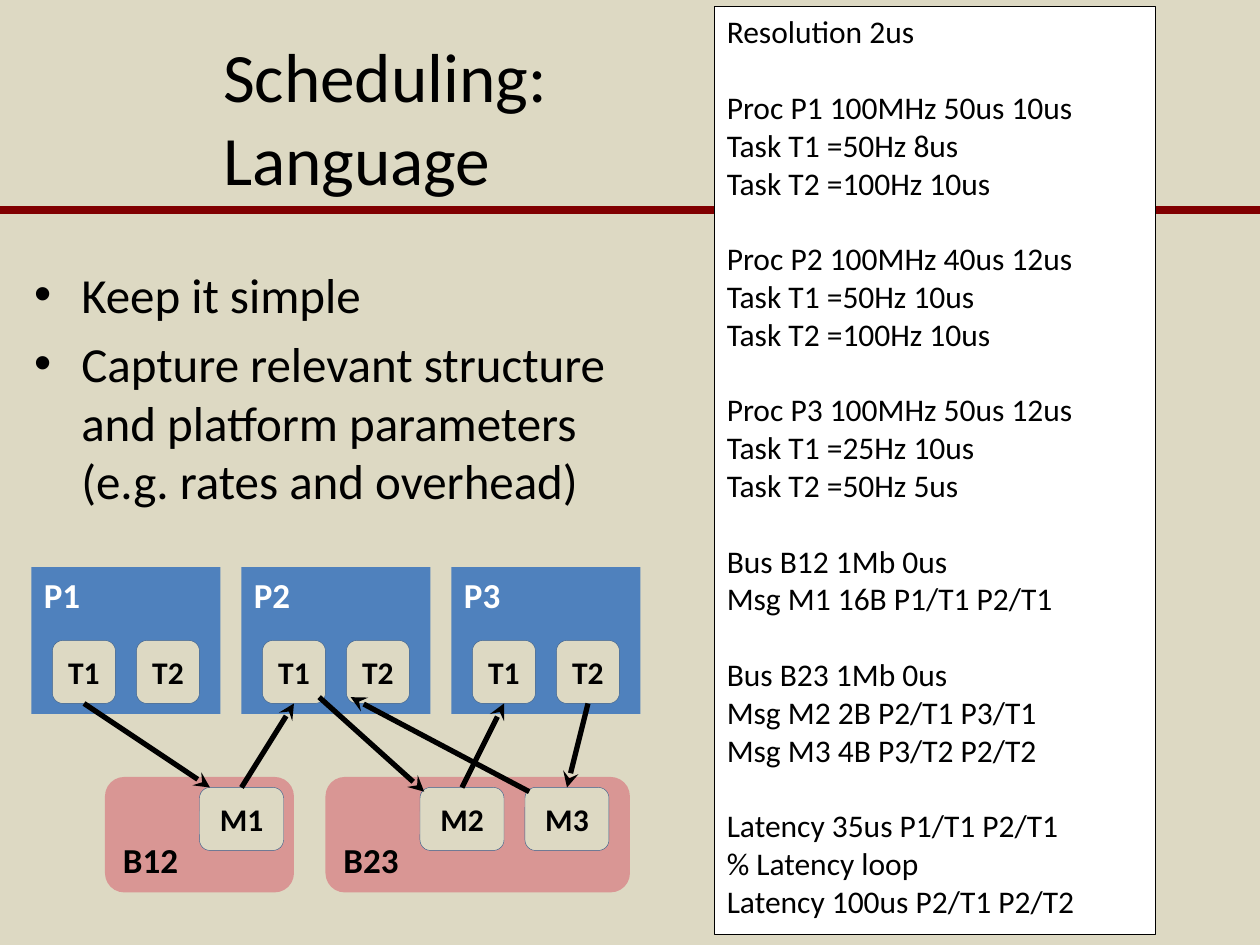
from lxml import etree
from pptx import Presentation
from pptx.dml.color import RGBColor
from pptx.enum.shapes import MSO_CONNECTOR, MSO_SHAPE
from pptx.enum.text import MSO_ANCHOR, MSO_AUTO_SIZE, PP_ALIGN
from pptx.oxml.ns import qn
from pptx.util import Inches, Pt

RECT, ROUNDED = MSO_SHAPE.RECTANGLE, MSO_SHAPE.ROUNDED_RECTANGLE
TOP, MIDDLE, BOTTOM = MSO_ANCHOR.TOP, MSO_ANCHOR.MIDDLE, MSO_ANCHOR.BOTTOM
LEFT, CENTER = PP_ALIGN.LEFT, PP_ALIGN.CENTER
STRAIGHT, NO_FIT = MSO_CONNECTOR.STRAIGHT, MSO_AUTO_SIZE.NONE

BLACK = RGBColor(0x00, 0x00, 0x00)
WHITE = RGBColor(0xFF, 0xFF, 0xFF)
SAND = RGBColor(0xDD, 0xD9, 0xC3)
MAROON = RGBColor(0x80, 0x00, 0x00)
BLUE = RGBColor(0x4F, 0x81, 0xBD)
BLUE_EDGE = RGBColor(0x3A, 0x5F, 0x8C)
PINK = RGBColor(0xD9, 0x96, 0x94)
FONT = "Calibri"

# Content
TITLE = "Scheduling: \vLanguage"
BULLETS = [
    "Keep it simple",
    "Capture relevant structure and platform parameters (e.g. rates and overhead)",
]
LISTING = [
    ["Resolution 2us"],
    ["Proc P1 100MHz 50us 10us", "Task T1 =50Hz 8us", "Task T2 =100Hz 10us"],
    ["Proc P2 100MHz 40us 12us", "Task T1 =50Hz 10us", "Task T2 =100Hz 10us"],
    ["Proc P3 100MHz 50us 12us", "Task T1 =25Hz 10us", "Task T2 =50Hz 5us"],
    ["Bus B12 1Mb 0us", "Msg M1 16B P1/T1 P2/T1"],
    ["Bus B23 1Mb 0us", "Msg M2 2B P2/T1 P3/T1", "Msg M3 4B P3/T2 P2/T2"],
    ["Latency 35us P1/T1 P2/T1", "% Latency loop", "Latency 100us P2/T1 P2/T2"],
]
PROCESSORS = ["P1", "P2", "P3"]
TASKS = ["T1", "T2"]
# Bus: name, left, width, messages (diagram units)
BUSES = [("B12", 10, 18, ["M1"]), ("B23", 31, 29, ["M2", "M3"])]
# Arrow: box and offset within it, for each end (diagram units)
TASK_BOTTOM, MESSAGE_TOP, CORNER = (3, 6), (4, 0), (0.4, 0.4)
ARROWS = [
    ("P1/T1", TASK_BOTTOM, "M1", (1, 0)),
    ("M1", MESSAGE_TOP, "P2/T1", TASK_BOTTOM),
    ("P2/T1", (5.4, 5.4), "M2", CORNER),
    ("M2", MESSAGE_TOP, "P3/T1", TASK_BOTTOM),
    ("P3/T2", TASK_BOTTOM, "M3", MESSAGE_TOP),
    ("M3", CORNER, "P2/T2", (0.4, 5.4)),
]


def unit(n):
    """The diagram grid has 12 units to the inch."""
    return Inches(n / 12)


def add_run(paragraph, text, size, color=BLACK, bold=False):
    run = paragraph.add_run()
    run.text = text
    run.font.name, run.font.size, run.font.bold = FONT, Pt(size), bold
    run.font.color.rgb = color


def add_line(start, end, color, width):
    line = slide.shapes.add_connector(STRAIGHT, *start, *end)
    line.line.color.rgb, line.line.width = color, Pt(width)
    etree.SubElement(line._element.spPr, qn("a:effectLst"))
    return line


def add_box(kind, box, fill, edge=None, edge_width=0.25):
    shape = slide.shapes.add_shape(kind, *box)
    shape.shadow.inherit = False
    shape.fill.solid()
    shape.fill.fore_color.rgb = fill
    if edge is None:
        shape.line.fill.background()
    else:
        shape.line.color.rgb, shape.line.width = edge, Pt(edge_width)
    shape.text_frame.word_wrap = True
    return shape


def add_node(kind, box, label, fill, color, anchor):
    frame = add_box(kind, map(unit, box), fill).text_frame
    frame.vertical_anchor = anchor
    frame.paragraphs[0].alignment = LEFT
    add_run(frame.paragraphs[0], label, 20, color, True)


def add_item(box, label):
    frame = add_box(ROUNDED, map(unit, box), SAND, BLUE_EDGE).text_frame
    frame.margin_left = frame.margin_right = 0
    frame.vertical_anchor = MIDDLE
    frame.paragraphs[0].alignment = CENTER
    add_run(frame.paragraphs[0], label, 18, bold=True)


def place(placeholder, left, top, width, height):
    placeholder.left, placeholder.top = Inches(left), Inches(top)
    placeholder.width, placeholder.height = Inches(width), Inches(height)
    placeholder.text_frame.auto_size = NO_FIT
    return placeholder.text_frame


prs = Presentation()
prs.slide_width, prs.slide_height = Inches(10), Inches(7.5)
slide = prs.slides.add_slide(prs.slide_layouts[1])
slide.background.fill.solid()
slide.background.fill.fore_color.rgb = SAND

# Title, rule and bullets
heading = place(slide.shapes.title, 1.67, 0.3, 7, 1.25)
heading.vertical_anchor = MIDDLE
heading_line = heading.paragraphs[0]
heading_line.alignment = LEFT
first, second = TITLE.split("\v")
add_run(heading_line, first, 39.6)
heading_line.add_line_break()
add_run(heading_line, second, 39.6)

add_line((0, Inches(1.67)), (Inches(10), Inches(1.67)), MAROON, 4.5)

body = place(slide.placeholders[1], 0.17, 2.05, 4.83, 2.2)
for i, bullet in enumerate(BULLETS):
    paragraph = body.add_paragraph() if i else body.paragraphs[0]
    add_run(paragraph, bullet, 28)

# Language listing, one line of space between groups
listing_box = map(Inches, (5.67, 0.05, 3.5, 7.37))
listing = add_box(RECT, listing_box, WHITE, BLACK, 0.75).text_frame
listing.vertical_anchor = TOP
paragraph = listing.paragraphs[0]
for g, group in enumerate(LISTING):
    for i, statement in enumerate(group):
        if g or i:
            paragraph = listing.add_paragraph()
        paragraph.alignment = LEFT
        if g and not i:
            paragraph.space_before = Pt(21.6)
        add_run(paragraph, statement, 18)

# Processors with their tasks
corners = {}
for p, processor in enumerate(PROCESSORS):
    left = 3 + 20 * p
    add_node(RECT, (left, 54, 18, 14), processor, BLUE, WHITE, TOP)
    for t, task in enumerate(TASKS):
        corner = (left + 2 + 8 * t, 61)
        add_item((*corner, 6, 6), task)
        corners[f"{processor}/{task}"] = corner

# Buses with their messages
for bus, left, width, messages in BUSES:
    add_node(ROUNDED, (left, 74, width, 11), bus, PINK, BLACK, BOTTOM)
    for m, message in enumerate(messages):
        corners[message] = (left + 9 + 10 * m, 75)
        add_item((*corners[message], 8, 6), message)

# Message flow
for source, source_offset, target, target_offset in ARROWS:
    start, end = (
        [unit(a + b) for a, b in zip(corners[name], offset)]
        for name, offset in ((source, source_offset), (target, target_offset))
    )
    arrow = add_line(start, end, BLACK, 3)
    etree.SubElement(arrow.line._get_or_add_ln(), qn("a:tailEnd"), type="stealth")

prs.save("out.pptx")
